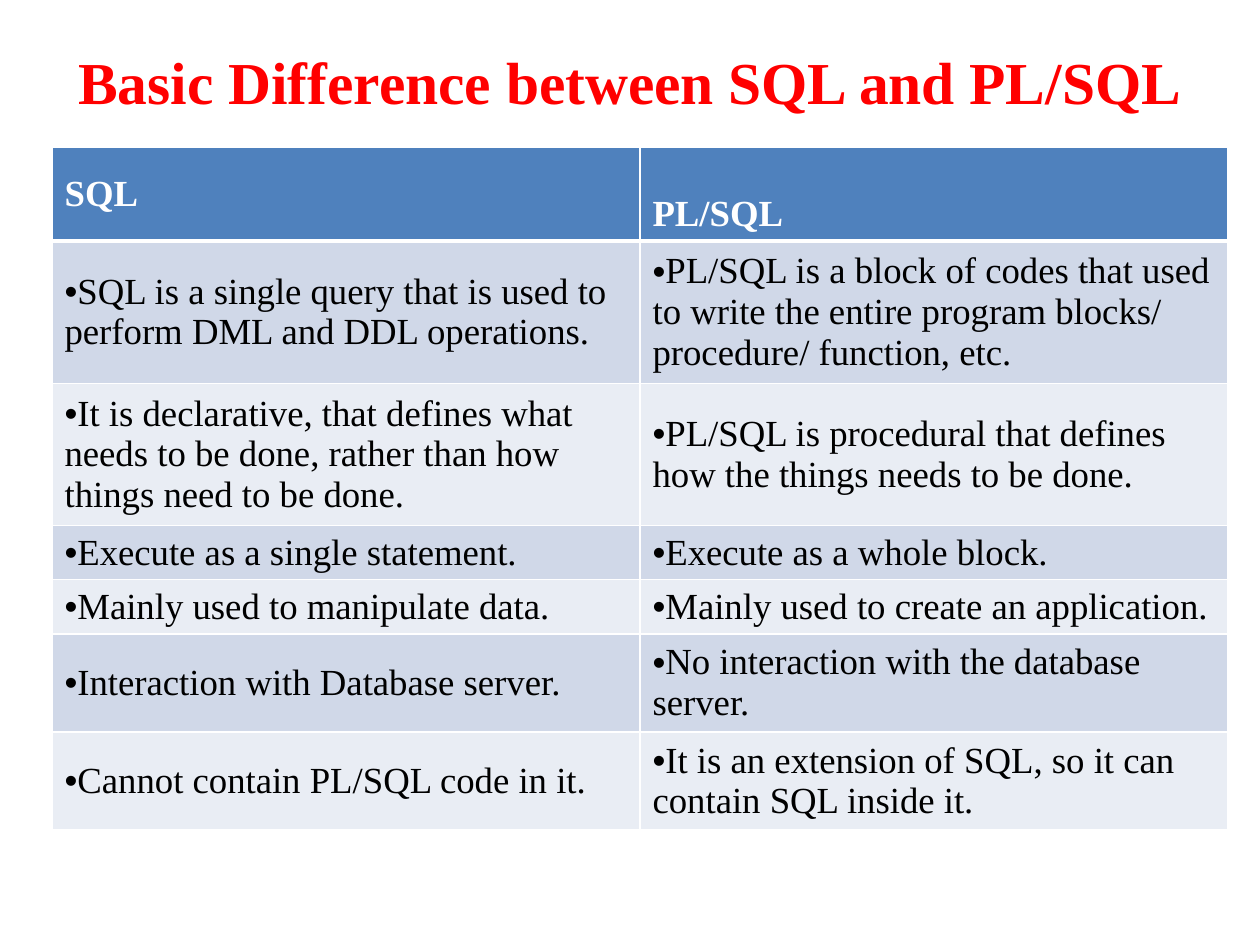
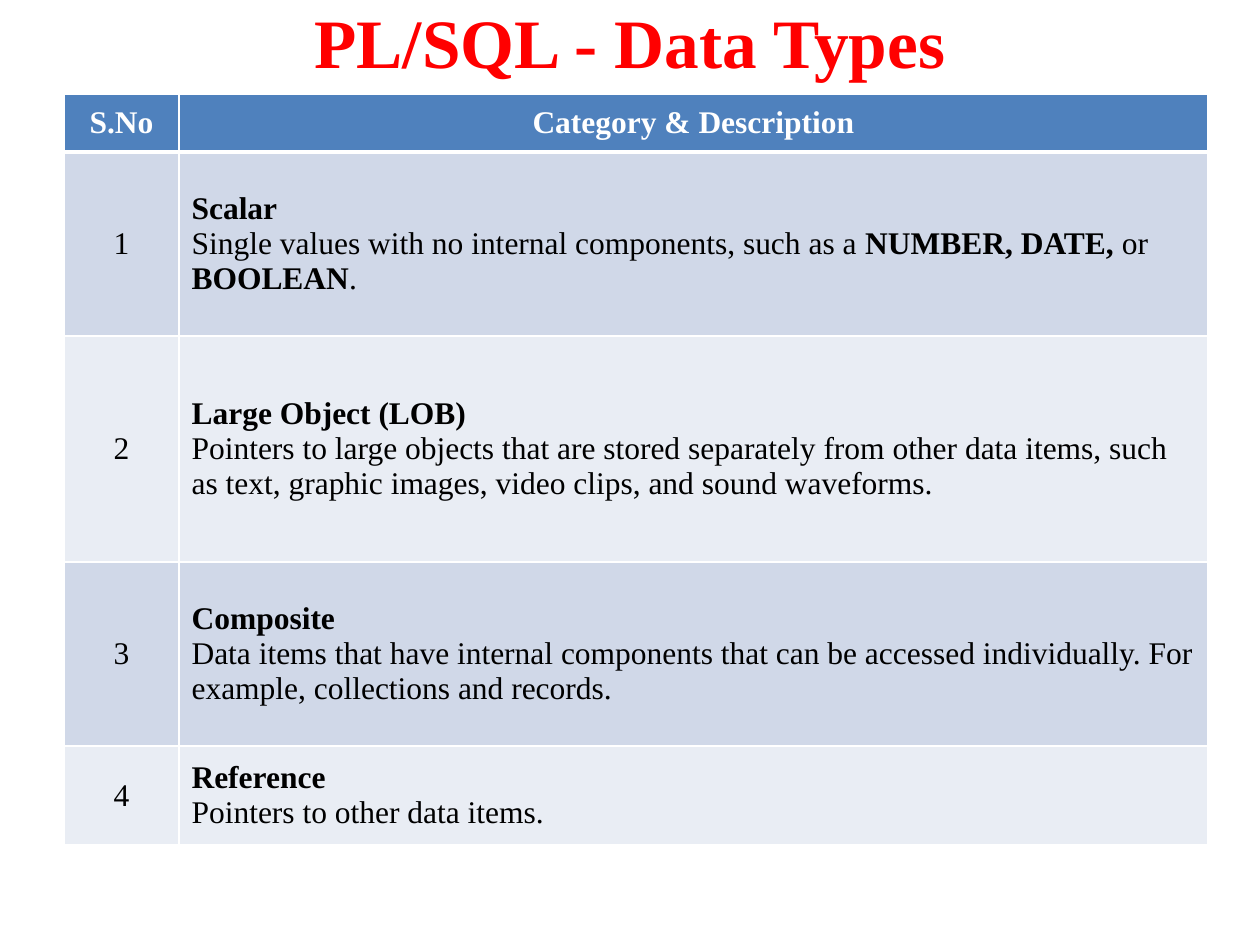
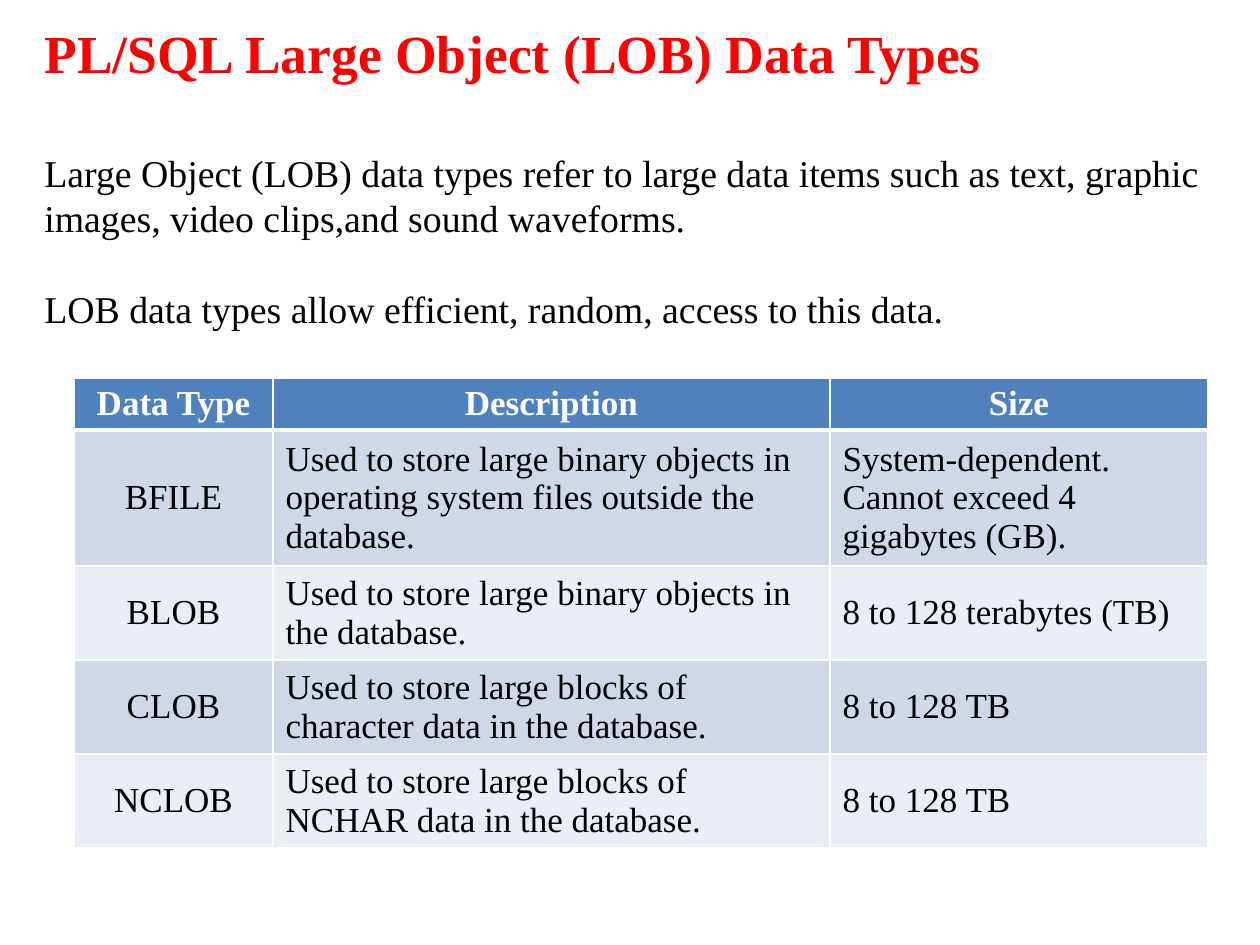
from dataclasses import dataclass

from lxml import etree
from pptx import Presentation
from pptx.dml.color import RGBColor
from pptx.enum.text import MSO_ANCHOR, PP_ALIGN
from pptx.oxml.ns import qn
from pptx.util import Emu, Pt

SCALE = 7257.14
FONT = "Times New Roman"
RED = RGBColor(0xFF, 0x00, 0x00)
BLACK = RGBColor(0x00, 0x00, 0x00)
WHITE = RGBColor(0xFF, 0xFF, 0xFF)
BLUE = RGBColor(0x4F, 0x81, 0xBD)
BANDS = (RGBColor(0xD0, 0xD8, 0xE8), RGBColor(0xE9, 0xED, 0xF4))
LEFT, CENTER = PP_ALIGN.LEFT, PP_ALIGN.CENTER
MIDDLE = MSO_ANCHOR.MIDDLE
PAD = 5
THIN, THICK = Pt(1), Pt(3)
BULLET = "•"


@dataclass
class Line:
    text: str
    size: float
    color: RGBColor = RED
    bold: bool = True
    before: float = 0


@dataclass
class Title:
    box: tuple[int, int, int, int]
    lines: list[Line]
    base: int
    align: PP_ALIGN = CENTER


@dataclass
class Grid:
    left: int
    top: int
    cols: list[int]
    rows: list[int]
    size: float
    cells: list[list[str]]
    center: bool = True
    drop: int = 0


def px(value: float) -> Emu:
    return Emu(round(value * SCALE))


def style(run, size: float, color: RGBColor, bold: bool) -> None:
    run.font.name = FONT
    run.font.size = Pt(size)
    run.font.color.rgb = color
    run.font.bold = bold


def draw_title(slide, title: Title) -> None:
    frame = slide.shapes.add_textbox(*map(px, title.box)).text_frame
    frame.word_wrap = True
    frame.vertical_anchor = MIDDLE
    frame.margin_top, frame.margin_bottom = 0, px(title.base)
    frame.text = "\n".join(line.text for line in title.lines)
    for para, line in zip(frame.paragraphs, title.lines):
        para.alignment = title.align
        para.space_before = Pt(line.before)
        para.line_spacing = 1.0
        for run in para.runs:
            style(run, line.size, line.color, line.bold)


def add_bullet(para) -> None:
    props = para._p.get_or_add_pPr()
    props.set("marL", "0")
    props.set("indent", "0")
    etree.SubElement(props, qn("a:buFont")).set("typeface", "Arial")
    etree.SubElement(props, qn("a:buChar")).set("char", BULLET)


def add_edges(cell, head: bool, below: bool) -> None:
    props = cell._tc.get_or_add_tcPr()
    widths = {
        "a:lnL": THIN,
        "a:lnR": THIN,
        "a:lnT": THICK if below else THIN,
        "a:lnB": THICK if head else THIN,
    }
    for spot, (tag, width) in enumerate(widths.items()):
        edge = etree.Element(qn(tag), w=str(int(width)))
        fill = etree.SubElement(edge, qn("a:solidFill"))
        etree.SubElement(fill, qn("a:srgbClr")).set("val", str(WHITE))
        props.insert(spot, edge)


def fill_cell(cell, text: str, size: float, head: bool, align: PP_ALIGN) -> None:
    cell.vertical_anchor = MIDDLE
    cell.margin_top = cell.margin_bottom = px(PAD)
    frame = cell.text_frame
    frame.text = text
    for para in frame.paragraphs:
        para.alignment = align
        parts = para.text.split("*")
        para.text = ""
        if parts[0].startswith(BULLET):
            parts[0] = parts[0][1:]
            add_bullet(para)
        for spot, part in enumerate(parts):
            if part:
                run = para.add_run()
                run.text = part
                style(run, size, WHITE if head else BLACK, head or spot % 2 == 1)


def draw_grid(slide, grid: Grid) -> None:
    spot = (grid.left, grid.top, sum(grid.cols), sum(grid.rows))
    table = slide.shapes.add_table(
        len(grid.rows), len(grid.cols), *map(px, spot)
    ).table
    for col, width in zip(table.columns, grid.cols):
        col.width = px(width)
    for row, height in zip(table.rows, grid.rows):
        row.height = px(height)
    for r, texts in enumerate(grid.cells):
        head = r == 0
        for c, text in enumerate(texts):
            cell = table.cell(r, c)
            mid = grid.center and (head or c == 0)
            fill_cell(cell, text, grid.size, head, CENTER if mid else LEFT)
            cell.fill.solid()
            cell.fill.fore_color.rgb = BLUE if head else BANDS[(r - 1) % 2]
            add_edges(cell, head, r == 1)
    if grid.drop:
        table.cell(0, len(grid.cols) - 1).margin_top = px(PAD + grid.drop)


SLIDES = [
    (
        Title(
            (63, 38, 1134, 157),
            [Line("Basic Difference between SQL and PL/SQL", 34)],
            72,
        ),
        Grid(
            52, 147, [588, 588], [94, 135, 134, 54, 53, 94, 94], 21,
            [
                ["SQL", "PL/SQL"],
                [
                    "•SQL is a single query that is used to perform DML and "
                    "DDL operations.",
                    "•PL/SQL is a block of codes that used to write the entire "
                    "program blocks/ procedure/ function, etc.",
                ],
                [
                    "•It is declarative, that defines what needs to be done, "
                    "rather than how things need to be done.",
                    "•PL/SQL is procedural that defines how the things needs "
                    "to be done.",
                ],
                ["•Execute as a single statement.", "•Execute as a whole block."],
                [
                    "•Mainly used to manipulate data.",
                    "•Mainly used to create an application.",
                ],
                [
                    "•Interaction with Database server.",
                    "•No interaction with the database server.",
                ],
                [
                    "•Cannot contain PL/SQL code in it.",
                    "•It is an extension of SQL, so it can contain SQL inside it.",
                ],
            ],
            center=False,
            drop=40,
        ),
    ),
    (
        Title((63, 38, 1134, 88), [Line("PL/SQL - Data Types", 39.6)], 82),
        Grid(
            64, 94, [115, 1029], [58, 184, 226, 184, 99], 18,
            [
                ["S.No", "Category & Description"],
                [
                    "1",
                    "*Scalar*\nSingle values with no internal components, such "
                    "as a *NUMBER, DATE,* or *BOOLEAN*.",
                ],
                [
                    "2",
                    "*Large Object (LOB)*\nPointers to large objects that are "
                    "stored separately from other data items, such as text, "
                    "graphic images, video clips, and sound waveforms.",
                ],
                [
                    "3",
                    "*Composite*\nData items that have internal components that "
                    "can be accessed individually. For example, collections "
                    "and records.",
                ],
                ["4", "*Reference*\nPointers to other data items."],
            ],
        ),
    ),
    (
        Title(
            (32, 38, 1207, 318),
            [
                Line("PL/SQL Large Object (LOB) Data Types", 30.6),
                Line(
                    "Large Object (LOB) data types refer to large data items "
                    "such as text, graphic images, video clips,and sound "
                    "waveforms.",
                    21.6, BLACK, False, 37,
                ),
                Line(
                    "LOB data types allow efficient, random, access to this data.",
                    21.6, BLACK, False, 26,
                ),
            ],
            43,
            LEFT,
        ),
        Grid(
            74, 378, [199, 557, 378], [52, 129, 90, 91, 90], 20,
            [
                ["Data Type", "Description", "Size"],
                [
                    "BFILE",
                    "Used to store large binary objects in operating system "
                    "files outside the database.",
                    "System-dependent. Cannot exceed 4 gigabytes (GB).",
                ],
                [
                    "BLOB",
                    "Used to store large binary objects in the database.",
                    "8 to 128 terabytes (TB)",
                ],
                [
                    "CLOB",
                    "Used to store large blocks of character data in the database.",
                    "8 to 128 TB",
                ],
                [
                    "NCLOB",
                    "Used to store large blocks of NCHAR data in the database.",
                    "8 to 128 TB",
                ],
            ],
        ),
    ),
]

deck = Presentation()
deck.slide_width, deck.slide_height = px(1260), px(945)
blank = deck.slide_layouts[6]
for title, grid in SLIDES:
    slide = deck.slides.add_slide(blank)
    draw_title(slide, title)
    draw_grid(slide, grid)
deck.save("out.pptx")
